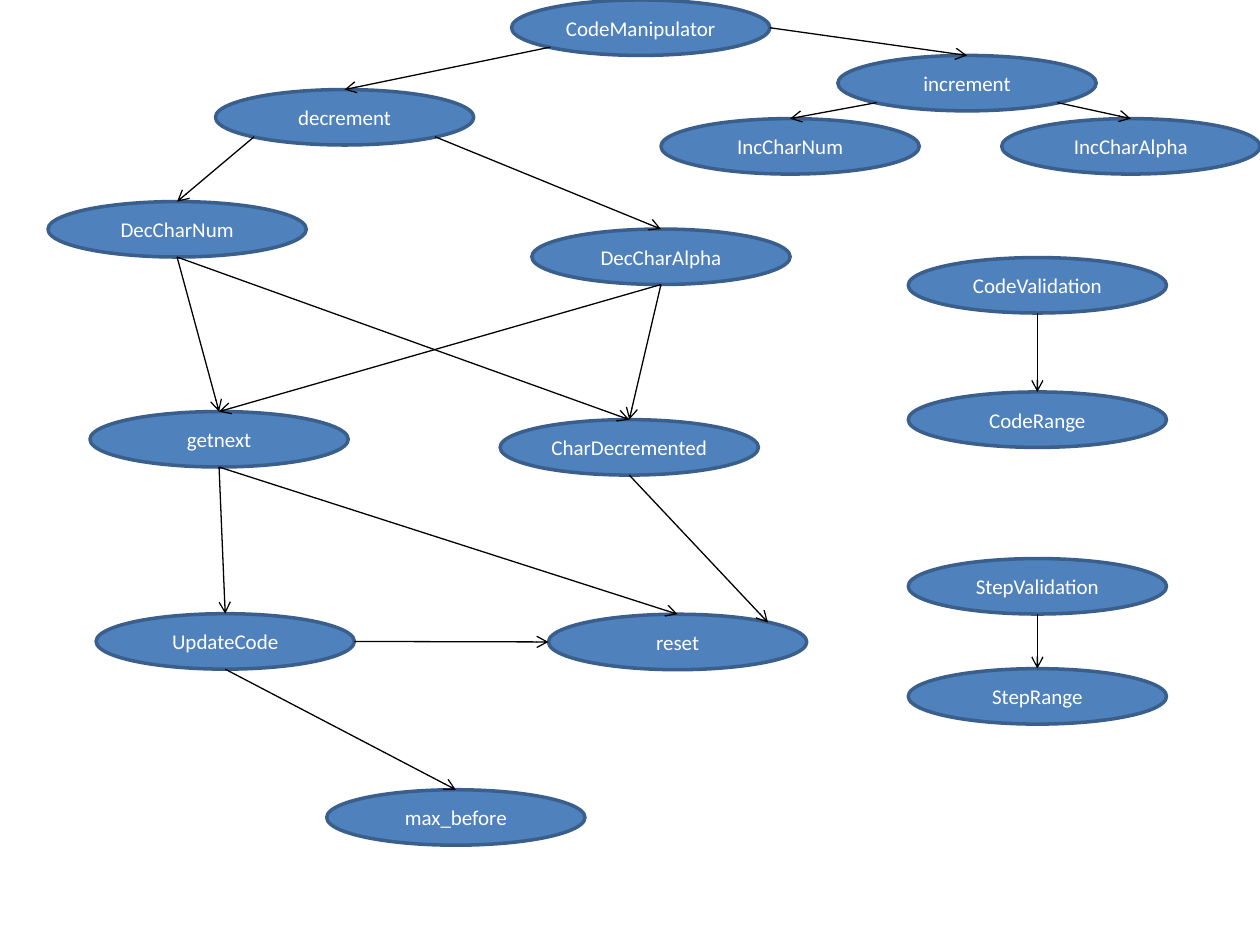
from dataclasses import dataclass

from lxml import etree
from pptx import Presentation
from pptx.dml.color import RGBColor
from pptx.enum.shapes import MSO_CONNECTOR, MSO_SHAPE
from pptx.enum.text import MSO_ANCHOR, PP_ALIGN
from pptx.oxml.ns import qn
from pptx.util import Pt

ELLIPSE = MSO_SHAPE.OVAL
STRAIGHT = MSO_CONNECTOR.STRAIGHT
CENTER = PP_ALIGN.CENTER
MIDDLE = MSO_ANCHOR.MIDDLE


@dataclass(frozen=True)
class Theme:
    font: str = "Calibri"
    label_size: float = 12
    label: RGBColor = RGBColor(0xFF, 0xFF, 0xFF)
    node: RGBColor = RGBColor(0x4F, 0x81, 0xBD)
    outline: RGBColor = RGBColor(0x3A, 0x5F, 0x8C)
    outline_width: float = 2
    arrow: RGBColor = RGBColor(0, 0, 0)
    arrow_width: float = 0.75


@dataclass(frozen=True)
class Box:
    left: float
    top: float
    width: float
    height: float


THEME = Theme()
NODE_WIDTH, NODE_HEIGHT = 147.6, 31.7
NEAR, FAR = 0.15, 0.85

SITES = {
    "top": (0, 0.5, 0),
    "left": (2, 0, 0.5),
    "bottom left": (3, NEAR, FAR),
    "bottom": (4, 0.5, 1),
    "bottom right": (5, FAR, FAR),
    "right": (6, 1, 0.5),
    "top right": (7, FAR, NEAR),
}

MANIPULATOR_NODES = {
    "CodeManipulator": (264.9, 0),
    "decrement": (95.7, 51.2),
    "increment": (451.4, 31.7),
    "IncCharNum": (350.3, 67.8),
    "IncCharAlpha": (545, 67.8),
    "DecCharNum": (0, 115.2),
    "DecCharAlpha": (276.5, 130.9),
    "getnext": (24, 235.2),
    "CharDecremented": (258.4, 239.8),
    "UpdateCode": (27.5, 350.7),
    "reset": (286, 351),
    "max_before": (159.3, 451.3),
}

MANIPULATOR_CALLS = [
    ("CodeManipulator", "right", "increment", "top"),
    ("CodeManipulator", "bottom left", "decrement", "top"),
    ("increment", "bottom left", "IncCharNum", "top"),
    ("increment", "bottom right", "IncCharAlpha", "top"),
    ("decrement", "bottom left", "DecCharNum", "top"),
    ("decrement", "bottom right", "DecCharAlpha", "top"),
    ("DecCharNum", "bottom", "CharDecremented", "top"),
    ("DecCharNum", "bottom", "getnext", "top"),
    ("DecCharAlpha", "bottom", "getnext", "top"),
    ("DecCharAlpha", "bottom", "CharDecremented", "top"),
    ("getnext", "bottom", "reset", "top"),
    ("getnext", "bottom", "UpdateCode", "top"),
    ("CharDecremented", "bottom", "reset", "top right"),
    ("UpdateCode", "right", "reset", "left"),
    ("UpdateCode", "bottom", "max_before", "top"),
]


def write_text(frame, text, *, size, color, align):
    frame.word_wrap = True
    frame.vertical_anchor = MIDDLE
    frame.margin_left = frame.margin_right = Pt(0)
    paragraph = frame.paragraphs[0]
    paragraph.alignment = align
    paragraph._p.get_or_add_pPr().set("rtl", "1")
    run = paragraph.add_run()
    run.text = text
    run.font.name = THEME.font
    run.font.size = Pt(size)
    run.font.color.rgb = color


def add_node(slide, name, left, top):
    node = slide.shapes.add_shape(
        ELLIPSE, Pt(left), Pt(top), Pt(NODE_WIDTH), Pt(NODE_HEIGHT))
    node.shadow.inherit = False
    node.fill.solid()
    node.fill.fore_color.rgb = THEME.node
    node.line.color.rgb = THEME.outline
    node.line.width = Pt(THEME.outline_width)
    write_text(node.text_frame, name, size=THEME.label_size,
               color=THEME.label, align=CENTER)
    return node


def site_point(node, site):
    _, across, down = SITES[site]
    return (int(node.left + across * node.width),
            int(node.top + down * node.height))


def add_call(slide, caller, exit_site, callee, entry_site):
    call = slide.shapes.add_connector(STRAIGHT, 0, 0, 0, 0)
    call.begin_connect(caller, 0)
    call.end_connect(callee, 0)
    joints = call._element.nvCxnSpPr.cNvCxnSpPr
    joints.stCxn.idx = SITES[exit_site][0]
    joints.endCxn.idx = SITES[entry_site][0]
    call.begin_x, call.begin_y = site_point(caller, exit_site)
    call.end_x, call.end_y = site_point(callee, entry_site)
    call.line.color.rgb = THEME.arrow
    call.line.width = Pt(THEME.arrow_width)
    etree.SubElement(call.line._get_or_add_ln(), qn("a:tailEnd"), type="arrow")
    etree.SubElement(call._element.spPr, qn("a:effectLst"))


def draw_manipulator(slide, box):
    nodes = {name: add_node(slide, name, box.left + x, box.top + y)
             for name, (x, y) in MANIPULATOR_NODES.items()}
    for caller, exit_site, callee, entry_site in MANIPULATOR_CALLS:
        add_call(slide, nodes[caller], exit_site, nodes[callee], entry_site)


def draw_validation(slide, box, validation, value_range):
    left = box.left + (box.width - NODE_WIDTH) / 2
    bottom_row = box.top + box.height - NODE_HEIGHT
    caller = add_node(slide, validation, left, box.top)
    callee = add_node(slide, value_range, left, bottom_row)
    add_call(slide, caller, "bottom", callee, "top")


def main():
    deck = Presentation()
    deck.slide_width, deck.slide_height = Pt(720), Pt(540)
    slide = deck.slides.add_slide(deck.slide_layouts[6])
    draw_manipulator(slide, Box(27.4, 0, 692.6, 483))
    draw_validation(slide, Box(519, 147.2, NODE_WIDTH, 108.5),
                    "CodeValidation", "CodeRange")
    draw_validation(slide, Box(519, 319.2, NODE_WIDTH, 94.6),
                    "StepValidation", "StepRange")
    deck.save("out.pptx")


if __name__ == "__main__":
    main()
